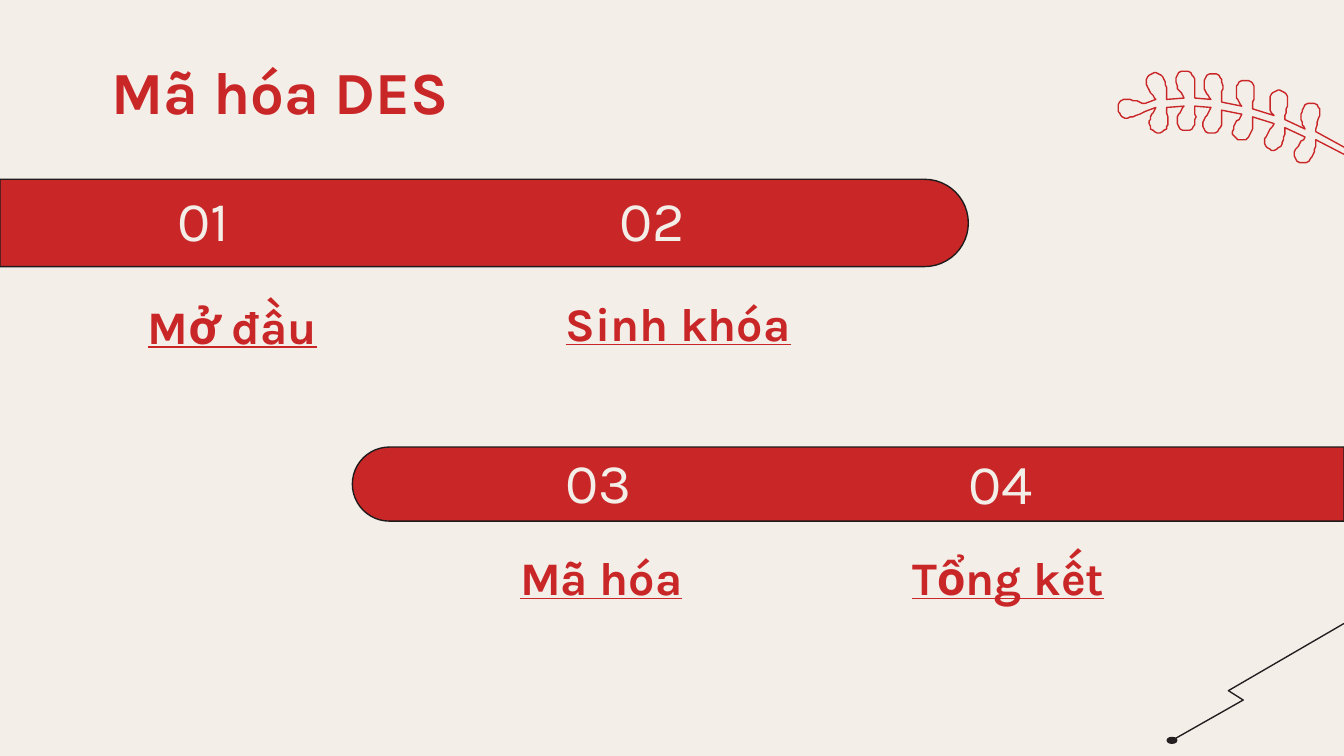
from pptx import Presentation
from pptx.dml.color import RGBColor
from pptx.enum.shapes import MSO_SHAPE
from pptx.enum.text import MSO_ANCHOR, PP_ALIGN
from pptx.util import Cm, Pt

RED = RGBColor(0xC9, 0x27, 0x27)
CREAM = RGBColor(0xF4, 0xEE, 0xE9)
INK = RGBColor(0x1E, 0x1B, 0x1C)
DARK = RGBColor(0x23, 0x1F, 0x20)
UNIT = Cm(0.0254)  # grid of the line drawings

STEM = [(864, 77.5), (885, 76), (905, 78), (928, 83), (952, 90.5), (975, 100)]
STEM_END = [(1008, 119), (1010, 115)]
BOLT = [(872, 551), (925, 521), (914, 514), (1000, 464)]

# number, its left and top, label, its left and top (cm)
TOPICS = [
    ("01", 3.1, 3.56, "Mở đầu", 2.54, 5.61),
    ("02", 11.46, 3.56, "Sinh khóa", 10.44, 5.56),
    ("03", 10.44, 8.51, "Mã hóa", 9.58, 10.36),
    ("04", 18.06, 8.53, "Tổng kết", 16.99, 10.36),
]


def paint(shape, fill, line):
    shape.shadow.inherit = False
    if fill is None:
        shape.fill.background()
    else:
        shape.fill.solid()
        shape.fill.fore_color.rgb = fill
    shape.line.color.rgb = line
    shape.line.width = Pt(0.75)


def curves(pts, steps=8):
    """Sample joined cubic Bezier curves."""
    out = [pts[0]]
    for n in range(0, len(pts) - 1, 3):
        for i in range(1, steps + 1):
            t = i / steps
            u = 1 - t
            ws = (u ** 3, 3 * u * u * t, 3 * u * t * t, t ** 3)
            part = pts[n:n + 4]
            out.append(tuple(
                sum(w * p[k] for w, p in zip(ws, part)) for k in (0, 1)))
    return out


def lobe(i, side):
    """Outline lobe i from left to right; side is -1 above, 1 below the stem."""
    x, y = STEM[i]
    rise = 0.3 * i
    lean, reach = (i - 5, 23.5) if side < 0 else (-2.5 - 0.7 * i, 21.5)
    tx, ty = x + lean, y + side * reach
    foot = y + side * 3
    return curves([
        (x - 4, foot - rise), (x - 7, foot + side * 4),
        (tx - 7, ty - side * 10), (tx - 6, ty - side * 5),
        (tx - 4, ty + side), (tx + 3, ty + side), (tx + 6, ty - side * 3),
        (tx + 9, ty - side * 7), (x + 4, foot + side * 5),
        (x + 4, foot + rise)])


def trace(slide, pts, close, fill, line):
    pen = slide.shapes.build_freeform(*pts[0], scale=UNIT)
    pen.add_line_segments(pts[1:], close=close)
    paint(pen.convert_to_shape(), fill, line)


def add_leaf(slide):
    edge = curves([
        (852, 77), (848, 76), (839, 73), (834, 75), (830, 78),
        (831, 84), (835, 87), (840, 89), (846, 86), (852, 83)])
    top = []
    for i in range(len(STEM)):
        edge += lobe(i, 1)
        top += lobe(i, -1)
    trace(slide, edge + STEM_END + top[::-1], True, CREAM, RED)


def add_bolt(slide):
    trace(slide, BOLT, False, None, DARK)
    dot = slide.shapes.add_shape(
        MSO_SHAPE.OVAL, Cm(22.06), Cm(13.94), Cm(0.18), Cm(0.11))
    paint(dot, DARK, DARK)


def add_bar(slide, left, top, width, height, turn):
    """Place an upright tab so that it fills the given box once turned."""
    x = left + (width - height) / 2
    y = top + (height - width) / 2
    bar = slide.shapes.add_shape(
        MSO_SHAPE.ROUND_2_SAME_RECTANGLE, Cm(x), Cm(y), Cm(height), Cm(width))
    bar.adjustments[0] = 0.5
    bar.adjustments[1] = 0
    bar.rotation = turn
    paint(bar, RED, INK)


def write(shape, text, size, color, bold=False, line=False,
          anchor=MSO_ANCHOR.BOTTOM, pad=0):
    frame = shape.text_frame
    frame.word_wrap = True
    frame.vertical_anchor = anchor
    frame.margin_left = frame.margin_right = Cm(0.25)
    frame.margin_top = frame.margin_bottom = Cm(pad)
    frame.text = text
    par = frame.paragraphs[0]
    par.alignment = PP_ALIGN.LEFT
    font = par.font
    font.name = "Karla"
    font.size = Pt(size)
    font.bold = bold
    font.underline = line
    font.color.rgb = color


def add_title(slide, text):
    title = slide.shapes.title
    title.left, title.top = Cm(1.85), Cm(0.91)
    title.width, title.height = Cm(21.41), Cm(1.6)
    write(title, text, 32, RED, bold=True, anchor=MSO_ANCHOR.MIDDLE, pad=0.25)


def add_topic(slide, num, nx, ny, label, lx, ly):
    add = slide.shapes.add_textbox
    write(add(Cm(nx), Cm(ny), Cm(3), Cm(1.22)), num, 30, CREAM)
    write(add(Cm(lx), Cm(ly), Cm(4.9), Cm(1.07)), label, 25, RED,
          bold=True, line=True)


def main():
    deck = Presentation()
    deck.slide_width, deck.slide_height = Cm(25.4), Cm(14.29)
    slide = deck.slides.add_slide(deck.slide_layouts[5])
    slide.background.fill.solid()
    slide.background.fill.fore_color.rgb = CREAM
    add_leaf(slide)
    add_bolt(slide)
    add_bar(slide, 6.66, 8.45, 18.74, 1.4, 270)
    add_bar(slide, 0, 3.39, 18.3, 1.65, 90)
    add_title(slide, "Mã hóa DES")
    for topic in TOPICS:
        add_topic(slide, *topic)
    deck.save("out.pptx")


if __name__ == "__main__":
    main()
